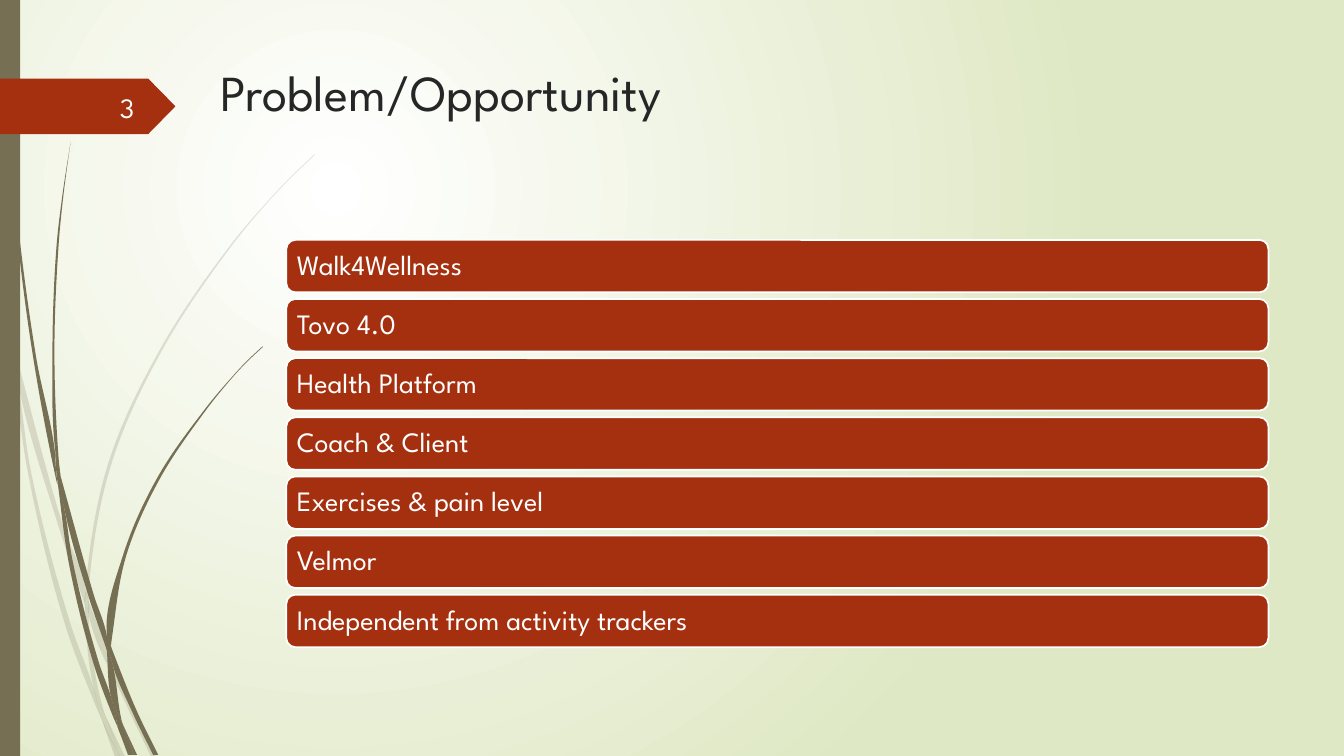
import math

from lxml import etree
from pptx import Presentation
from pptx.dml.color import RGBColor
from pptx.enum.shapes import MSO_SHAPE
from pptx.enum.text import MSO_ANCHOR, MSO_AUTO_SIZE, PP_ALIGN
from pptx.oxml.ns import qn
from pptx.util import Inches, Pt

RECTANGLE = MSO_SHAPE.RECTANGLE
ROUNDED_RECTANGLE = MSO_SHAPE.ROUNDED_RECTANGLE
PENTAGON = MSO_SHAPE.PENTAGON
TOP, MIDDLE = MSO_ANCHOR.TOP, MSO_ANCHOR.MIDDLE
LEFT, RIGHT = PP_ALIGN.LEFT, PP_ALIGN.RIGHT
NO_AUTOFIT = MSO_AUTO_SIZE.NONE

FONT = "League Spartan"
WHITE = RGBColor(0xFF, 0xFF, 0xFF)
OFF_WHITE = RGBColor(0xFE, 0xFF, 0xFF)
PALE_GREEN = RGBColor(0xDF, 0xE8, 0xC4)
OLIVE = RGBColor(0x76, 0x6F, 0x54)
RUST = RGBColor(0xA5, 0x30, 0x10)
CHARCOAL = RGBColor(0x26, 0x26, 0x26)

TOPICS = [
    "Walk4Wellness",
    "Tovo 4.0",
    "Health Platform",
    "Coach & Client",
    "Exercises & pain level",
    "Velmor",
    "Independent from activity trackers",
]

PALE_BLADES = [
    [(0.11, 3.5), (0.09, 3.22), (0, 2.82), (0, 2.99), (0.1, 3.44)],
    [(0.58, 5.22), (0.84, 5.99), (0.85, 5.86), (0.62, 5.2), (0.14, 3.45), (0.17, 3.76)],
    [(0.92, 6.07), (0.88, 5.96), (0.88, 6.1), (1.23, 6.94), (1.5, 7.51), (1.55, 7.51),
     (1.27, 6.92)],
    [(1.19, 7.51), (1.24, 7.51), (1.05, 7.11)],
    [(0.93, 6.83), (0.7, 6.19), (0.31, 4.69), (0.17, 3.76), (0.11, 3.5), (0.28, 4.7),
     (0.65, 6.21), (0.92, 6.93), (1.01, 7.14), (0.99, 7.07)],
    [(0.84, 5.99), (0.87, 6.46), (0.93, 6.83), (0.96, 6.92), (1.05, 7.11), (1.03, 7.06),
     (0.91, 6.46), (0.88, 6.1), (0.88, 6.08)],
    [(0.88, 5.84), (1.1, 4.62), (1.6, 3.49), (2.29, 2.45), (2.68, 1.98), (2.9, 1.75),
     (3.12, 1.54), (3.12, 1.53), (2.89, 1.75), (2.68, 1.97), (2.28, 2.44), (1.58, 3.48),
     (1.07, 4.61), (0.85, 5.84), (0.85, 5.86), (0.88, 5.96)],
    [(1.01, 7.14), (1.14, 7.51), (1.19, 7.51)],
    [(0.88, 6.08), (0.88, 6.1), (0.88, 5.96), (0.85, 5.86), (0.84, 5.99)],
    [(0.96, 6.92), (0.93, 6.83), (0.99, 7.07), (1.01, 7.14), (1.19, 7.51), (1.05, 7.11)],
]
DARK_BLADES = [
    [(0.07, 1.1), (0.17, 2.33), (0.33, 3.55), (0.56, 4.77), (0.57, 4.81), (0.55, 4.57),
     (0.55, 4.53), (0.36, 3.55), (0.19, 2.32), (0.08, 1.09), (0.05, 0.48), (0.04, 0),
     (0.03, 0), (0.04, 0.48)],
    [(0.88, 5.92), (1.06, 6.45), (1.06, 6.33), (1.06, 6.31), (0.93, 5.9), (0.6, 4.72),
     (0.64, 5.05)],
    [(1.13, 6.49), (1.1, 6.41), (1.11, 6.56), (1.32, 7.08), (1.52, 7.49), (1.57, 7.49),
     (1.36, 7.06)],
    [(1.1, 6.91), (0.98, 6.57), (0.72, 5.56), (0.64, 5.05), (0.57, 4.77), (0.68, 5.57),
     (0.93, 6.59), (1.11, 7.08), (1.17, 7.22), (1.16, 7.17)],
    [(0.6, 4.72), (0.58, 4.53), (0.54, 3.49), (0.58, 2.45), (0.63, 1.93), (0.7, 1.41),
     (0.62, 1.93), (0.56, 2.45), (0.52, 3.49), (0.55, 4.49)],
    [(1.33, 7.49), (1.36, 7.49), (1.22, 7.19)],
    [(0.57, 4.77), (0.64, 5.05), (0.6, 4.72), (0.55, 4.49), (0.55, 4.53)],
    [(1.11, 6.33), (1.25, 5.52), (1.58, 4.76), (2.05, 4.06), (2.31, 3.74), (2.45, 3.59),
     (2.61, 3.44), (2.6, 3.44), (2.45, 3.58), (2.31, 3.73), (2.04, 4.05), (1.56, 4.74),
     (1.22, 5.51), (1.06, 6.31), (1.1, 6.41)],
    [(1.17, 7.22), (1.27, 7.49), (1.31, 7.49)],
    [(1.06, 6.45), (1.1, 6.91), (1.16, 7.06), (1.22, 7.19), (1.21, 7.16), (1.11, 6.56),
     (1.09, 6.51)],
    [(1.06, 6.45), (1.09, 6.51), (1.11, 6.56), (1.1, 6.41), (1.06, 6.31), (1.06, 6.33)],
    [(1.16, 7.06), (1.1, 6.91), (1.16, 7.17), (1.17, 7.22), (1.3, 7.49), (1.33, 7.49),
     (1.22, 7.19)],
]


def paint_background(slide):
    fill = slide.background.fill
    fill.gradient()
    for stop, color in zip(fill.gradient_stops, (WHITE, PALE_GREEN)):
        stop.color.rgb = color
    linear = next(slide.element.iter(qn("a:lin")))
    gradient = linear.getparent()
    gradient.remove(linear)
    circle = etree.SubElement(gradient, qn("a:path"), path="circle")
    etree.SubElement(circle, qn("a:fillToRect"), l="50000", t="50000", r="100000", b="100000")


def paint_shape(shape, color):
    shape.shadow.inherit = False
    shape.fill.solid()
    shape.fill.fore_color.rgb = color
    shape.line.fill.background()


def tangent(before, point, after):
    arriving, leaving = math.dist(before, point), math.dist(point, after)
    into = [(b - a) / arriving for a, b in zip(before, point)]
    out = [(b - a) / leaving for a, b in zip(point, after)]
    if math.sumprod(into, out) < 0.8 if hasattr(math, "sumprod") else \
            into[0] * out[0] + into[1] * out[1] < 0.8:
        return None
    total = [a + b for a, b in zip(into, out)]
    return [value / math.hypot(*total) for value in total]


def control_point(point, direction, other, sign):
    reach = math.dist(point, other) / 3
    if direction is None:
        return [a + (b - a) / 3 for a, b in zip(point, other)]
    return [a + sign * reach * d for a, d in zip(point, direction)]


def curve_segments(shape):
    lines = list(shape.element.spPr.iter(qn("a:lnTo")))
    points = [(int(line[0].get("x")), int(line[0].get("y"))) for line in lines]
    count = len(points)
    tangents = [tangent(points[i - 1], points[i], points[(i + 1) % count])
                for i in range(count)]
    for i, line in enumerate(lines):
        start, end = points[i - 1], points[i]
        line.tag = qn("a:cubicBezTo")
        controls = (control_point(start, tangents[i - 1], end, 1),
                    control_point(end, tangents[i], start, -1))
        for position, (x, y) in enumerate(controls):
            control = etree.Element(qn("a:pt"), x=str(round(x)), y=str(round(y)))
            line.insert(position, control)


def add_blade(slide, outline, opacity):
    points = [(Inches(x), Inches(y)) for x, y in outline]
    builder = slide.shapes.build_freeform(*points[0])
    builder.add_line_segments(points[1:] + points[:1], close=True)
    blade = builder.convert_to_shape()
    curve_segments(blade)
    paint_shape(blade, OLIVE)
    if opacity < 100:
        color = next(blade.element.spPr.iter(qn("a:srgbClr")))
        etree.SubElement(color, qn("a:alpha"), val=str(opacity * 1000))


def add_block(slide, kind, left, top, width, height, color):
    block = slide.shapes.add_shape(
        kind, Inches(left), Inches(top), Inches(width), Inches(height))
    paint_shape(block, color)
    return block


def write_text(shape, text, size, color, alignment, anchor):
    frame = shape.text_frame
    frame.text = text
    frame.word_wrap = True
    frame.auto_size = NO_AUTOFIT
    frame.vertical_anchor = anchor
    paragraph = frame.paragraphs[0]
    paragraph.alignment = alignment
    font = paragraph.runs[0].font
    font.name, font.size, font.color.rgb = FONT, Pt(size), color


def add_topic_bar(slide, text, top):
    bar = add_block(slide, ROUNDED_RECTANGLE, 2.84, top, 9.74, 0.52, RUST)
    bar.adjustments[0] = 0.17
    bar.line.color.rgb = WHITE
    bar.line.width = Pt(1.25)
    write_text(bar, text, 20, WHITE, LEFT, MIDDLE)
    bar.text_frame.margin_left = Inches(0.08)
    bar.text_frame.paragraphs[0].line_spacing = 0.9


def place_title(slide, text):
    title = slide.shapes.title
    title.left, title.top = Inches(2.09), Inches(0.56)
    title.width, title.height = Inches(9.75), Inches(1.4)
    write_text(title, text, 36, CHARCOAL, LEFT, TOP)


def add_page_number(slide, number):
    flag = add_block(slide, PENTAGON, 0, 0.78, 1.74, 0.55, RUST)
    flag.adjustments[0] = 0.49
    box = slide.shapes.add_textbox(Inches(0.58), Inches(0.86), Inches(0.85), Inches(0.4))
    write_text(box, number, 20, OFF_WHITE, RIGHT, MIDDLE)


def main():
    presentation = Presentation()
    presentation.slide_width, presentation.slide_height = Inches(13.33), Inches(7.5)
    slide = presentation.slides.add_slide(presentation.slide_layouts[5])
    paint_background(slide)
    for blades, opacity in ((PALE_BLADES, 20), (DARK_BLADES, 100)):
        for outline in blades:
            add_blade(slide, outline, opacity)
    add_block(slide, RECTANGLE, 0, 0, 0.2, 7.5, OLIVE)
    place_title(slide, "Problem/Opportunity")
    for index, topic in enumerate(TOPICS):
        add_topic_bar(slide, topic, 2.38 + index * 3.52 / 6)
    add_page_number(slide, "3")
    presentation.save("out.pptx")


if __name__ == "__main__":
    main()
